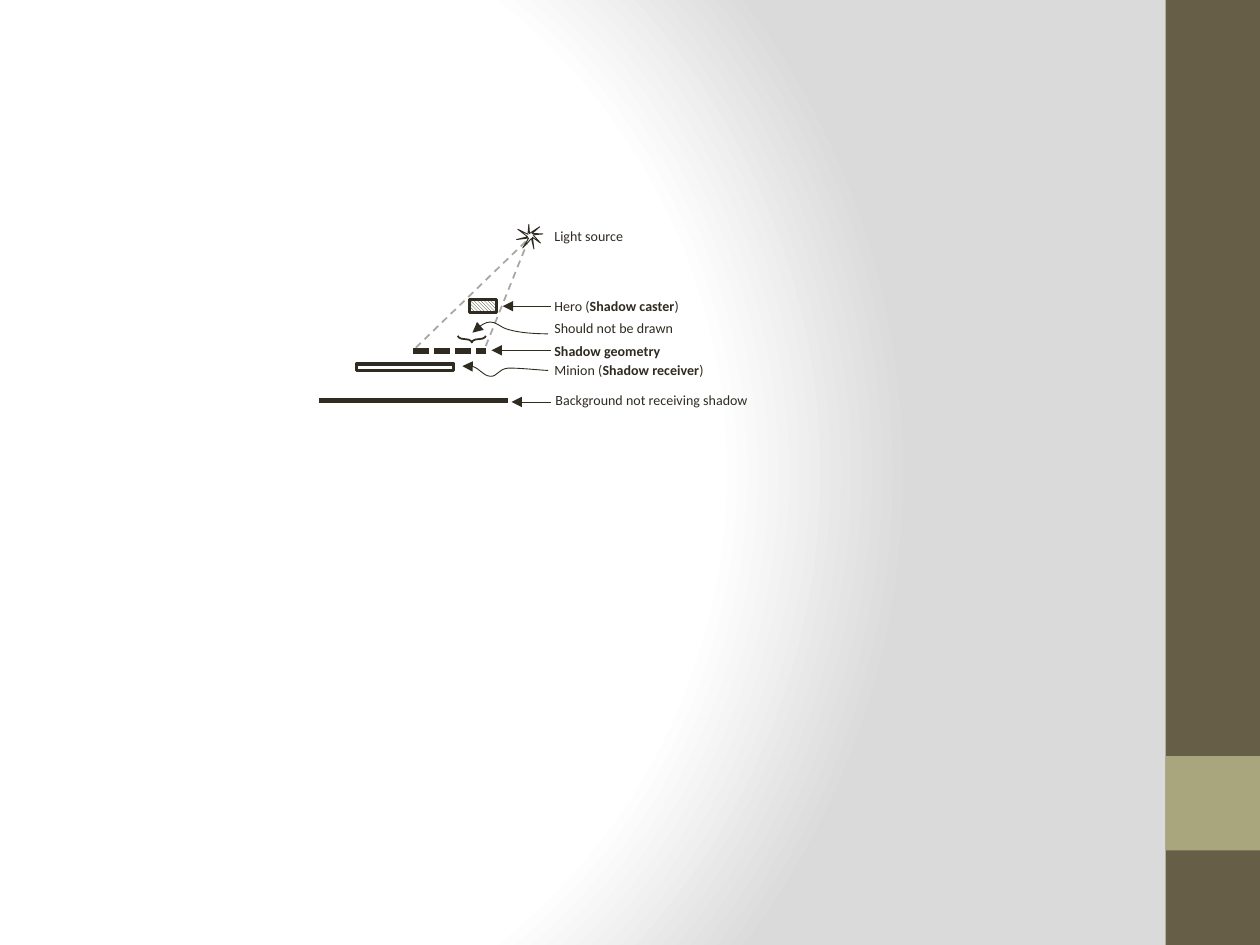
from lxml import etree
from pptx import Presentation
from pptx.dml.color import RGBColor
from pptx.enum import dml, shapes, text
from pptx.oxml import parse_xml
from pptx.oxml.ns import nsdecls, qn
from pptx.util import Pt

INK, WHITE, GREY = "2F2B20", "FFFFFF", "A6A6A6"
SIDE_BARS = [((666, 0, 54, 540), "675E47"), ((666, 432, 54, 54), "A9A57C")]
GRADIENT_STOPS = [(0, WHITE), (75, WHITE), (100, "DADADA")]
LABELS = [
    (316.8, 126.7, 42.5, [("Light source", False)]),
    (316.8, 166.5, 97.2, [("Hero (", False), ("Shadow caster", True), (")", False)]),
    (316.8, 179.2, 78.5, [("Should not be drawn", False)]),
    (316.8, 192.1, 69.8, [("Shadow geometry", True)]),
    (316.8, 203, 121, [("Minion (", False), ("Shadow receiver", True), (")", False)]),
    (317.4, 220.3, 114.5, [("Background not receiving shadow", False)]),
]
LIGHT = (302.4, 136.1)
LINES = [
    ((236.2, 200.6), (277.9, 200.6), INK, 3, "sysDash", False),
    ((237.6, 198.7), LIGHT, GREY, 1, "dash", False),
    (LIGHT, (277.2, 198.7), GREY, 1, "dash", False),
    ((182.2, 229), (290.2, 229), INK, 3, None, False),
    ((314.6, 200.2), (280.8, 200.2), INK, 0.5, None, True),
    ((314.6, 175), (287.3, 175), INK, 0.5, None, True),
    ((314.6, 229.7), (292.3, 229.7), INK, 0.5, None, True),
]
HERO = (268.2, 171.2, 15.8, 7.2)
MINION = (203.8, 207.9, 55.4, 3.9)
BRACE = (267.7, 185.8, 3.8, 16)
STAR = [(295.9, 131), (301.7, 133.9), (302.2, 128.2), (302.6, 133.4), (308.4, 129.6),
        (304.1, 133.4), (310.2, 133.7), (304.6, 134.2), (308.9, 138.9), (304.3, 135.6),
        (305.1, 142.3), (303.7, 136.3), (298.7, 141.7), (302.2, 136), (295.2, 136.9),
        (301.5, 135.3)]
CURVED_ARROWS = [
    [(270, 190.1), (270, 188.6), (277.2, 184.3), (280.1, 184), (283.5, 183.8),
     (285.8, 187), (290.2, 188.2), (293.8, 189.3), (298.8, 190.1), (303.1, 190.4),
     (306.7, 190.7), (311.8, 190.8), (313.2, 190.8)],
    [(264.2, 209.2), (272.9, 207.4), (275.8, 214.6), (280.1, 215), (284.4, 215.3),
     (284.4, 211), (290.2, 210.4), (295.9, 210.1), (308.2, 211.5), (313.2, 211.7)],
]


def rgb(value):
    return RGBColor.from_string(value)


def set_line(shape, color, width, dash=None, arrow=None):
    shape.line.color.rgb = rgb(color)
    shape.line.width = Pt(width)
    line = shape.line._get_or_add_ln()
    if dash:
        etree.SubElement(line, qn("a:prstDash"), val=dash)
    if arrow:
        etree.SubElement(line, qn(arrow), type="triangle")


def add_shape(kind, box):
    shape = slide.shapes.add_shape(kind, *map(Pt, box))
    shape.shadow.inherit = False
    shape.fill.background()
    return shape


def add_outline(points, close):
    start, *rest = [(Pt(x), Pt(y)) for x, y in points]
    builder = slide.shapes.build_freeform(*start)
    builder.add_line_segments(rest, close=close)
    shape = builder.convert_to_shape()
    shape.shadow.inherit = False
    shape.fill.background()
    return shape


def bend(shape):
    segments = list(shape.element.iter(qn("a:lnTo")))
    for index in range(0, len(segments), 3):
        curve = etree.Element(qn("a:cubicBezTo"))
        segments[index].addprevious(curve)
        for segment in segments[index:index + 3]:
            curve.append(segment[0])
            segment.getparent().remove(segment)


def add_label(left, top, width, runs):
    box = slide.shapes.add_textbox(Pt(left), Pt(top), Pt(width), Pt(17))
    frame = box.text_frame
    frame.margin_left = frame.margin_right = 0
    frame.word_wrap = False
    frame.auto_size = text.MSO_AUTO_SIZE.SHAPE_TO_FIT_TEXT
    paragraph = frame.paragraphs[0]
    paragraph.font.name, paragraph.font.size = "Calibri", Pt(8)
    paragraph.font.color.rgb = rgb(INK)
    for words, bold in runs:
        run = paragraph.add_run()
        run.text, run.font.bold = words, bold


presentation = Presentation()
presentation.slide_width, presentation.slide_height = Pt(720), Pt(540)
slide = presentation.slides.add_slide(presentation.slide_layouts[6])

slide.background.fill.solid()
background = next(slide.element.iter(qn("p:bgPr")))
stops = "".join(f'<a:gs pos="{place * 1000}"><a:srgbClr val="{color}"/></a:gs>'
                for place, color in GRADIENT_STOPS)
background.replace(background[0], parse_xml(
    f'<a:gradFill {nsdecls("a")} rotWithShape="1"><a:gsLst>{stops}</a:gsLst><a:path path="circle">'
    '<a:fillToRect l="20000" t="50000" r="100000" b="50000"/></a:path></a:gradFill>'))

for box, color in SIDE_BARS:
    bar = add_shape(shapes.MSO_SHAPE.RECTANGLE, box)
    bar.fill.solid()
    bar.fill.fore_color.rgb = rgb(color)
    bar.line.fill.background()

for start, end, color, width, dash, arrow in LINES:
    connector = slide.shapes.add_connector(
        shapes.MSO_CONNECTOR.STRAIGHT, *map(Pt, start + end))
    set_line(connector, color, width, dash, "a:tailEnd" if arrow else None)
    etree.SubElement(connector.element.spPr, qn("a:effectLst"))

hero = add_shape(shapes.MSO_SHAPE.RECTANGLE, HERO)
hero.fill.patterned()
hero.fill.pattern = dml.MSO_PATTERN.LIGHT_DOWNWARD_DIAGONAL
hero.fill.fore_color.rgb = rgb(INK)
hero.fill.back_color.rgb = rgb(WHITE)
set_line(hero, INK, 1.75)

set_line(add_shape(shapes.MSO_SHAPE.RECTANGLE, MINION), INK, 2)

brace = add_shape(shapes.MSO_SHAPE.RIGHT_BRACE, BRACE)
brace.rotation = 90
brace.adjustments[0] = 1.471
set_line(brace, INK, 1)

star = add_outline(STAR, True)
star.fill.solid()
star.fill.fore_color.rgb = rgb(WHITE)
set_line(star, INK, 0.5)

for points in CURVED_ARROWS:
    curved_arrow = add_outline(points, False)
    bend(curved_arrow)
    set_line(curved_arrow, INK, 0.5, arrow="a:headEnd")

for label in LABELS:
    add_label(*label)

presentation.save("out.pptx")
